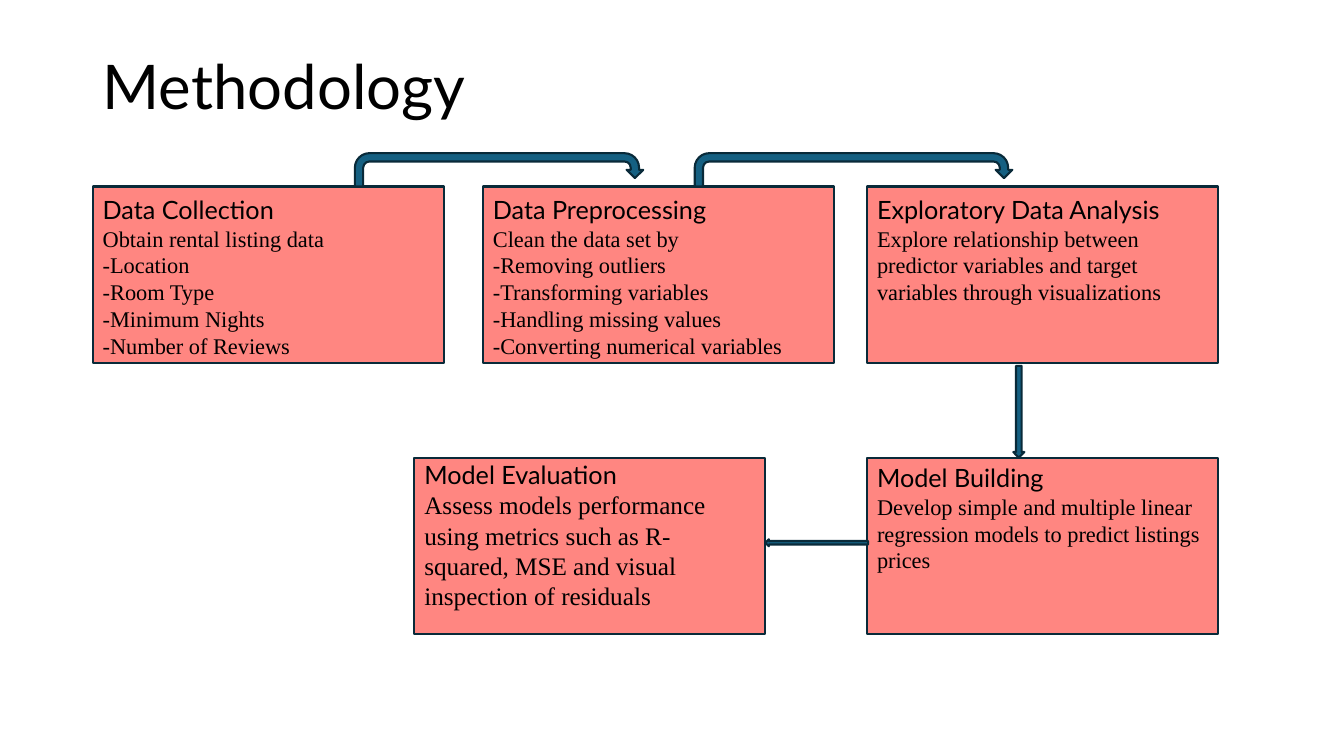
from pptx import Presentation
from pptx.dml.color import RGBColor
from pptx.enum.shapes import MSO_SHAPE as Shape
from pptx.enum.text import MSO_ANCHOR as Anchor
from pptx.util import Emu, Pt

PX = 9144  # 100 px to the inch
HEADING_FONT, BODY_FONT = "Lato", "Times New Roman"
STEP_WIDTH, STEP_HEIGHT = 348, 175
TOP_ROW, BOTTOM_ROW = 185, 454


def px(*lengths):
    return [Emu(length * PX) for length in lengths]


def color(hex_string):
    return RGBColor.from_string(hex_string)


class Diagram:
    ink, outline = "000000", "092A39"
    step_fill, arrow_fill = "FF8681", "156082"

    def __init__(self, slide):
        self.shapes = slide.shapes

    def text(self, box, paragraphs, anchor=Anchor.TOP, line_spacing=None):
        """Write paragraphs given as (text, font name, size in points)."""
        frame = self.shapes.add_textbox(*px(*box)).text_frame
        frame.word_wrap = True
        frame.vertical_anchor = anchor
        for index, (wording, font_name, size) in enumerate(paragraphs):
            paragraph = frame.add_paragraph() if index else frame.paragraphs[0]
            paragraph.text = wording
            paragraph.line_spacing = line_spacing
            paragraph.font.name = font_name
            paragraph.font.size = Pt(size)
            paragraph.font.color.rgb = color(self.ink)

    def block(self, kind, box, fill):
        block = self.shapes.add_shape(kind, *px(*box))
        block.shadow.inherit = False
        block.fill.solid()
        block.fill.fore_color.rgb = color(fill)
        block.line.color.rgb = color(self.outline)
        block.line.width = Pt(1.5)

    def arrow(self, kind, box):
        self.block(kind, box, self.arrow_fill)

    def step(self, left, top, text_shift, text_height, body_size, heading, lines):
        """Draw a step box; text_shift moves its text down from the box top."""
        self.block(Shape.RECTANGLE, (left, top, STEP_WIDTH, STEP_HEIGHT), self.step_fill)
        body = [(line, BODY_FONT, body_size) for line in lines]
        self.text((left, top + text_shift, STEP_WIDTH, text_height),
                  [(heading, HEADING_FONT, 18)] + body)


STEPS = [
    (92, TOP_ROW, 3, 205, 16, "Data Collection",
     ["Obtain rental listing data", "-Location", "-Room Type",
      "-Minimum Nights", "-Number of Reviews"]),
    (479, TOP_ROW, 3, 175, 16, "Data Preprocessing",
     ["Clean the data set by", "-Removing outliers", "-Transforming variables",
      "-Handling missing values", "-Converting numerical variables"]),
    (860, TOP_ROW, 3, 121, 16, "Exploratory Data Analysis",
     ["Explore relationship between predictor variables and target "
      "variables through visualizations"]),
    (860, BOTTOM_ROW, 0, 121, 16, "Model Building",
     ["Develop simple and multiple linear regression models to predict "
      "listings prices"]),
    (411, BOTTOM_ROW, -3, 192, 18, "Model Evaluation",
     ["Assess models performance using metrics such as R- squared, MSE "
      "and visual inspection of residuals"]),
]

ARROWS = [
    (Shape.U_TURN_ARROW, (352, 152, 286, 33)),
    (Shape.U_TURN_ARROW, (689, 152, 315, 33)),
    (Shape.DOWN_ARROW, (1005, 363, 11, 91)),
    (Shape.LEFT_ARROW, (759, 535, 102, 7)),
]


def main():
    deck = Presentation()
    deck.slide_width, deck.slide_height = px(1333, 750)
    diagram = Diagram(deck.slides.add_slide(deck.slide_layouts[6]))
    diagram.text((92, 40, 1150, 98), [("Methodology", HEADING_FONT, 44)],
                 Anchor.MIDDLE, 0.9)
    for step in STEPS:
        diagram.step(*step)
    for kind, box in ARROWS:
        diagram.arrow(kind, box)
    deck.save("out.pptx")


if __name__ == "__main__":
    main()
